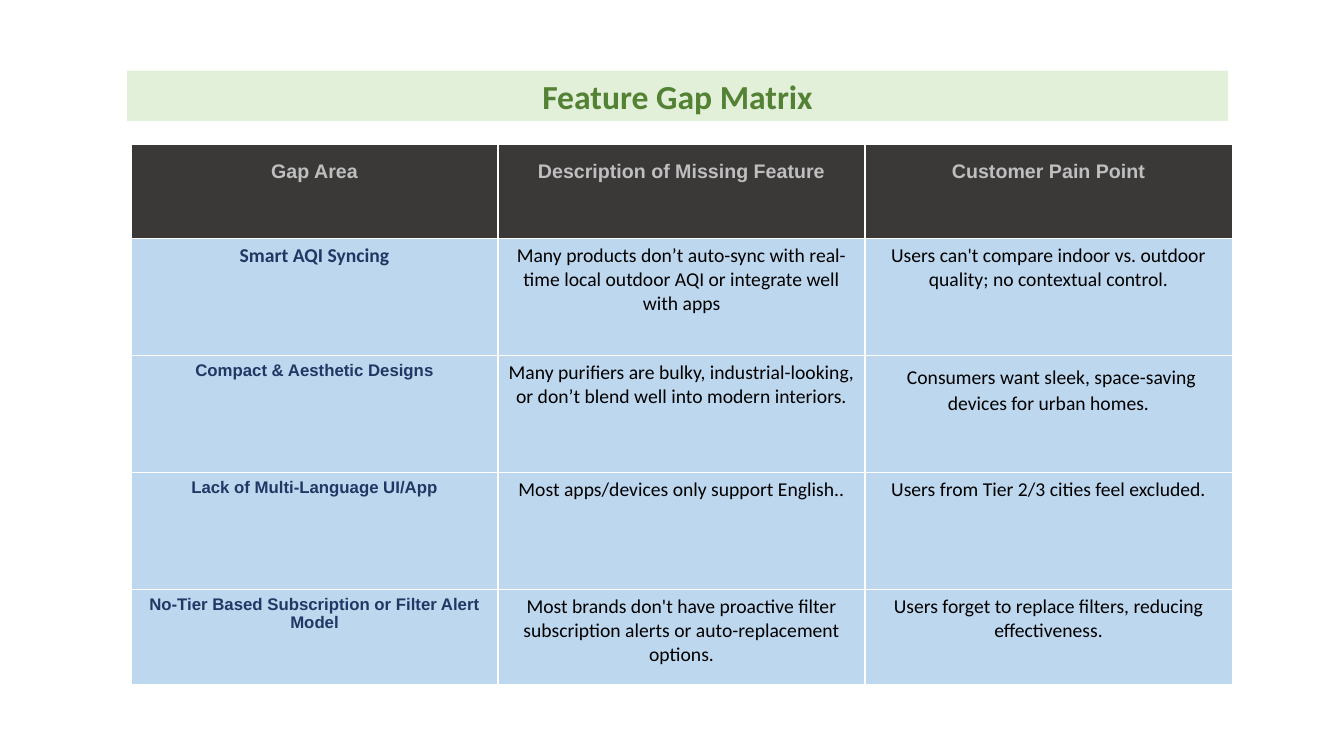
from dataclasses import dataclass

from pptx import Presentation
from pptx.dml.color import RGBColor as RGB
from pptx.enum.shapes import MSO_SHAPE as Shape
from pptx.enum.text import MSO_ANCHOR as Anchor, MSO_AUTO_SIZE as AutoSize, PP_ALIGN as Align
from pptx.util import Inches, Pt

WIDTH, HEIGHT = Inches(13.33), Inches(7.5)
BLACK = RGB(0x00, 0x00, 0x00)
CHARCOAL = RGB(0x3B, 0x38, 0x38)
SILVER = RGB(0xBF, 0xBF, 0xBF)
NAVY = RGB(0x20, 0x38, 0x64)
SKY = RGB(0xBD, 0xD7, 0xEE)
MINT = RGB(0xE2, 0xF0, 0xD9)
GREEN = RGB(0x54, 0x82, 0x35)

COL_WIDTH = 27.31
ROW_HEIGHTS = [12.53, 15.47, 15.47, 15.47, 12.53]


@dataclass(frozen=True)
class Style:
    font: str
    size: int
    color: RGB
    bold: bool = False


@dataclass(frozen=True)
class Gap:
    area: str
    missing: str
    pain: str
    area_style: Style
    pain_lead: str = ""


TITLE = Style("Calibri", 24, GREEN, True)
HEADER = Style("Arial", 14, SILVER, True)
AREA = Style("Arial", 12, NAVY, True)
FIRST_AREA = Style("Calibri", 14, NAVY, True)
BODY = Style("Calibri", 14, BLACK)
LEAD = Style("Calibri", 18, BLACK)

HEADINGS = ["Gap Area", "Description of Missing Feature", "Customer Pain Point"]
GAPS = [
    Gap("Smart AQI Syncing",
        "Many products don’t auto-sync with real-time local outdoor AQI or integrate well with apps",
        "Users can't compare indoor vs. outdoor quality; no contextual control.", FIRST_AREA),
    Gap("Compact & Aesthetic Designs",
        "Many purifiers are bulky, industrial-looking, or don’t blend well into modern interiors.",
        "Consumers want sleek, space-saving devices for urban homes.", AREA, " "),
    Gap("Lack of Multi-Language UI/App",
        "Most apps/devices only support English..",
        "Users from Tier 2/3 cities feel excluded.", AREA),
    Gap("No-Tier Based Subscription or Filter Alert Model",
        "Most brands don't have proactive filter subscription alerts or auto-replacement options.",
        "Users forget to replace filters, reducing effectiveness.", AREA),
]


def across(percent: float) -> int:
    return round(WIDTH * percent / 100)


def down(percent: float) -> int:
    return round(HEIGHT * percent / 100)


def format_run(r, style: Style) -> None:
    r.font.name = style.font
    r.font.size = Pt(style.size)
    r.font.bold = style.bold
    r.font.color.rgb = style.color


def write(tf, text: str, style: Style, lead: str = "") -> None:
    p = tf.paragraphs[0]
    p.alignment = Align.CENTER
    if lead:
        r = p.add_run()
        r.text = lead
        format_run(r, LEAD)
    r = p.add_run()
    r.text = text
    format_run(r, style)


def fill_cell(cell, color: RGB, text: str, style: Style, lead: str = "") -> None:
    cell.fill.solid()
    cell.fill.fore_color.rgb = color
    write(cell.text_frame, text, style, lead)


def add_matrix(s) -> None:
    table = s.shapes.add_table(
        len(ROW_HEIGHTS), len(HEADINGS), across(9.75), down(19.07),
        across(COL_WIDTH * len(HEADINGS)), down(sum(ROW_HEIGHTS))).table
    for column in table.columns:
        column.width = across(COL_WIDTH)
    for row, height in zip(table.rows, ROW_HEIGHTS):
        row.height = down(height)
    for col, heading in enumerate(HEADINGS):
        cell = table.cell(0, col)
        fill_cell(cell, CHARCOAL, heading, HEADER)
        cell.text_frame.paragraphs[0].line_spacing = 1.5
    for row, gap in enumerate(GAPS, 1):
        fill_cell(table.cell(row, 0), SKY, gap.area, gap.area_style)
        fill_cell(table.cell(row, 1), SKY, gap.missing, BODY)
        fill_cell(table.cell(row, 2), SKY, gap.pain, BODY, gap.pain_lead)


def add_title(s, text: str) -> None:
    sp = s.shapes.add_shape(Shape.RECTANGLE, across(9.45), down(9.33),
                            across(81.92), down(6.67))
    sp.shadow.inherit = False
    sp.fill.solid()
    sp.fill.fore_color.rgb = MINT
    sp.line.fill.background()
    tf = sp.text_frame
    tf.word_wrap = True
    tf.auto_size = AutoSize.SHAPE_TO_FIT_TEXT
    tf.vertical_anchor = Anchor.TOP
    write(tf, text, TITLE)


def main() -> None:
    prs = Presentation()
    prs.slide_width, prs.slide_height = WIDTH, HEIGHT
    s = prs.slides.add_slide(prs.slide_layouts[6])
    add_matrix(s)
    add_title(s, "Feature Gap Matrix")
    prs.save("out.pptx")


if __name__ == "__main__":
    main()
